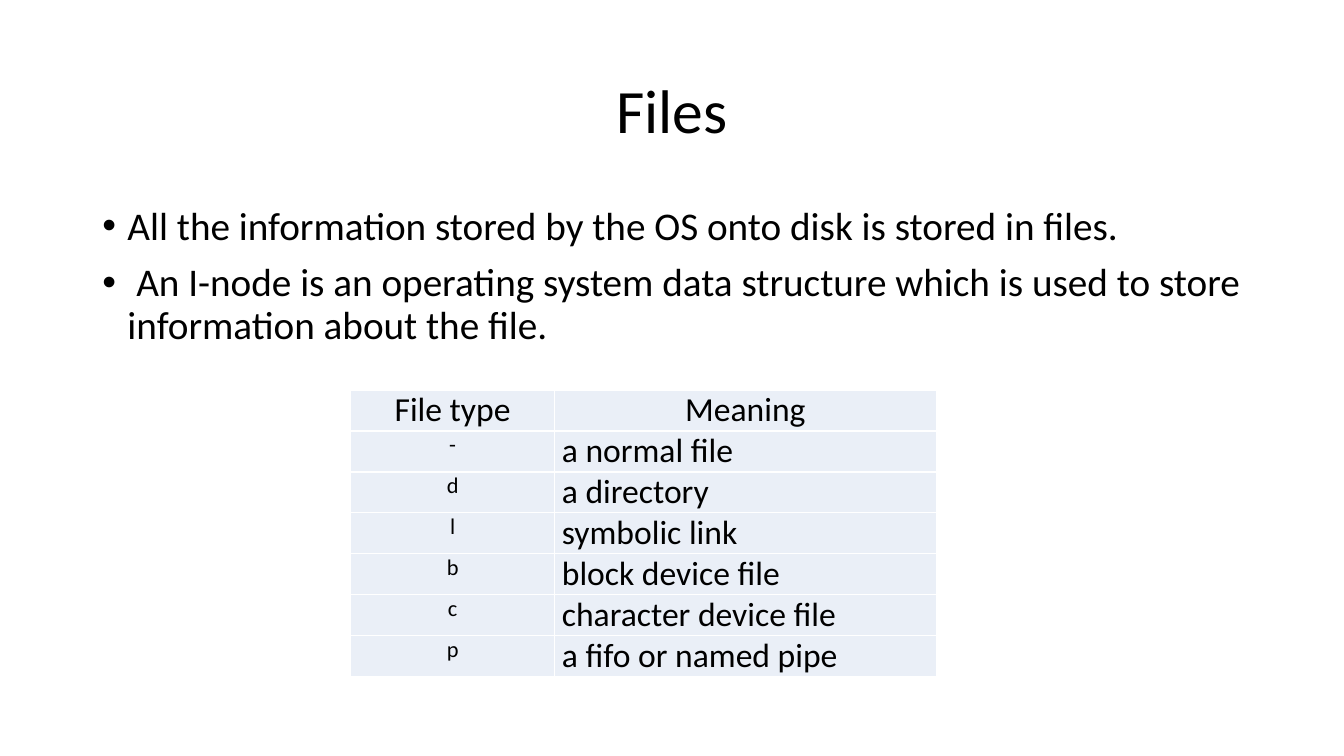
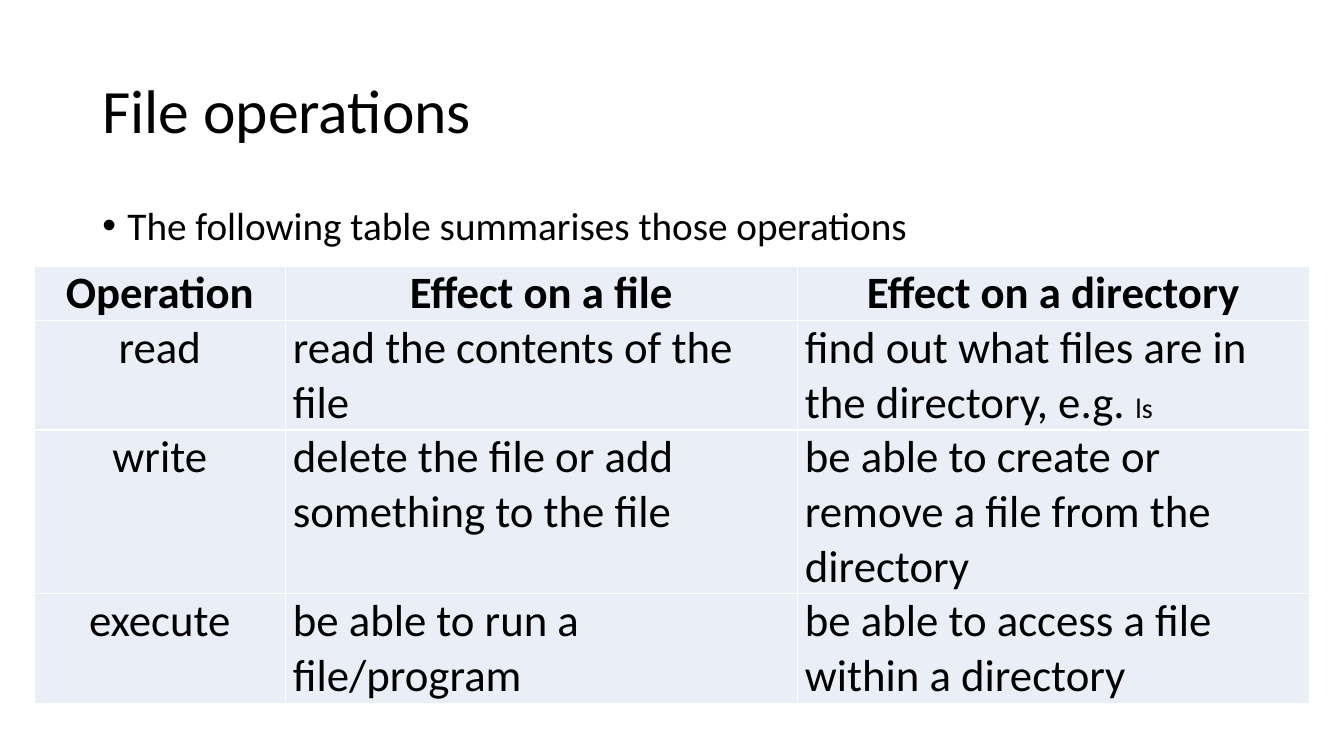
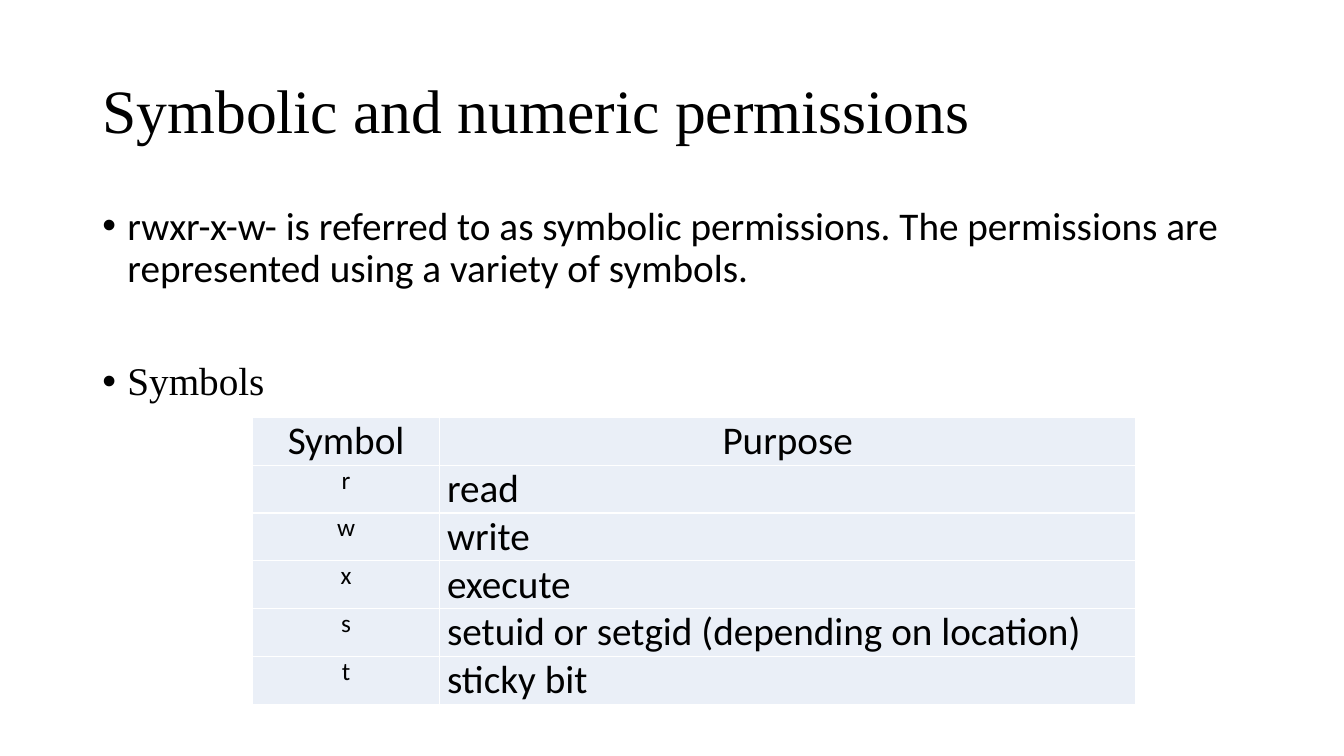
from dataclasses import dataclass

from lxml.etree import SubElement
from pptx import Presentation
from pptx.dml.color import RGBColor
from pptx.enum.text import MSO_ANCHOR, PP_ALIGN
from pptx.oxml.ns import qn
from pptx.slide import Slide
from pptx.table import _Cell
from pptx.text.text import TextFrame, _Paragraph
from pptx.util import Pt

SANS = "Calibri"
SERIF = "Times New Roman"
BLACK = "000000"
WHITE = "FFFFFF"
CELL_FILL = "EAEFF7"
TITLE_SIZE = 44
BODY_SIZE = 28
LINE_FACTOR = 1.22
TEXT_LEFT, TEXT_WIDTH = 66, 828
TITLE_TOP, TITLE_HEIGHT = 28.8, 104.4
BODY_TOP, BODY_HEIGHT = 144, 342.7
BULLET_INDENT = 18
CELL_MARGIN = 5.4


@dataclass(frozen=True)
class Span:
    text: str
    size: float
    font: str = SANS
    bold: bool = False


@dataclass(frozen=True)
class Bullet:
    text: str
    font: str = SANS
    space_before: float = 10


@dataclass(frozen=True)
class Grid:
    left: float
    top: float
    column_widths: tuple[float, ...]
    size: float
    key_size: float
    rows: tuple[tuple[str | tuple[Span, ...], ...], ...]
    line_counts: tuple[int, ...]
    bold_header: bool = False


@dataclass(frozen=True)
class Page:
    title: str
    bullets: tuple[Bullet, ...]
    grid: Grid
    title_font: str = SANS
    title_alignment: PP_ALIGN = PP_ALIGN.LEFT


PAGES = (
    Page(
        "Files",
        (
            Bullet("All the information stored by the OS onto disk is stored in files."),
            Bullet(" An I-node is an operating system data structure which is used to store information about the file."),
        ),
        Grid(
            250.6, 278.6, (145.4, 272.9), 24, 16,
            (
                ("File type", "Meaning"),
                ("-", "a normal file"),
                ("d", "a directory"),
                ("l", "symbolic link"),
                ("b", "block device file"),
                ("c", "character device file"),
                ("p", "a fifo or named pipe"),
            ),
            (1,) * 7,
        ),
        title_alignment=PP_ALIGN.CENTER,
    ),
    Page(
        "File operations",
        (Bullet("The following table summarises those operations"),),
        Grid(
            24.6, 190, (179.2, 365.8, 365.8), 32, 32,
            (
                ("Operation", "Effect on a file", "Effect on a directory"),
                (
                    "read",
                    "read the contents of the file",
                    (Span("find out what files are in the directory, e.g. ", 32), Span("ls", 20)),
                ),
                (
                    "write",
                    "delete the file or add something to the file",
                    "be able to create or remove a file from the directory",
                ),
                (
                    "execute",
                    "be able to run a file/program",
                    "be able to access a file within a directory",
                ),
            ),
            (1, 2, 3, 2),
            bold_header=True,
        ),
    ),
    Page(
        "Symbolic and numeric permissions",
        (
            Bullet("rwxr-x-w- is referred to as symbolic permissions. The permissions are represented using a variety of symbols."),
            Bullet("Symbols", SERIF, 50.5),
        ),
        Grid(
            180.4, 298.1, (133.6, 497.4), 28, 18,
            (
                ("Symbol", "Purpose"),
                ("r", "read"),
                ("w", "write"),
                ("x", "execute"),
                ("s", "setuid or setgid (depending on location)"),
                ("t", "sticky bit"),
            ),
            (1,) * 6,
        ),
        title_font=SERIF,
    ),
)


def color(value: str) -> RGBColor:
    return RGBColor.from_string(value)


def add_span(paragraph: _Paragraph, span: Span) -> None:
    run = paragraph.add_run()
    run.text = span.text
    run.font.size = Pt(span.size)
    run.font.name = span.font
    run.font.bold = span.bold
    run.font.color.rgb = color(BLACK)


def add_text_frame(slide: Slide, top: float, height: float) -> TextFrame:
    shape = slide.shapes.add_textbox(Pt(TEXT_LEFT), Pt(top), Pt(TEXT_WIDTH), Pt(height))
    shape.text_frame.word_wrap = True
    return shape.text_frame


def add_title(slide: Slide, page: Page) -> None:
    frame = add_text_frame(slide, TITLE_TOP, TITLE_HEIGHT)
    frame.vertical_anchor = MSO_ANCHOR.MIDDLE
    paragraph = frame.paragraphs[0]
    paragraph.alignment = page.title_alignment
    paragraph.line_spacing = 0.9
    add_span(paragraph, Span(page.title, TITLE_SIZE, page.title_font))


def add_bullets(slide: Slide, bullets: tuple[Bullet, ...]) -> None:
    frame = add_text_frame(slide, BODY_TOP, BODY_HEIGHT)
    for index, bullet in enumerate(bullets):
        paragraph = frame.add_paragraph() if index else frame.paragraphs[0]
        paragraph.line_spacing = 0.9
        paragraph.space_before = Pt(bullet.space_before)
        properties = paragraph._p.get_or_add_pPr()
        properties.set("marL", str(Pt(BULLET_INDENT)))
        properties.set("indent", str(-Pt(BULLET_INDENT)))
        SubElement(properties, qn("a:buFont"), typeface="Arial")
        SubElement(properties, qn("a:buChar"), char="•")
        add_span(paragraph, Span(bullet.text, BODY_SIZE, bullet.font))


def style_cell(cell: _Cell) -> None:
    cell.margin_left = cell.margin_right = Pt(CELL_MARGIN)
    cell.margin_top = cell.margin_bottom = 0
    properties = cell._tc.get_or_add_tcPr()
    for side in ("lnL", "lnR", "lnT", "lnB"):
        line = SubElement(properties, qn(f"a:{side}"), w=str(Pt(1)))
        fill = SubElement(line, qn("a:solidFill"))
        SubElement(fill, qn("a:srgbClr"), val=WHITE)
    cell.fill.solid()
    cell.fill.fore_color.rgb = color(CELL_FILL)


def add_grid(slide: Slide, grid: Grid) -> None:
    heights = [count * grid.size * LINE_FACTOR for count in grid.line_counts]
    table = slide.shapes.add_table(
        len(grid.rows), len(grid.column_widths), Pt(grid.left), Pt(grid.top),
        Pt(sum(grid.column_widths)), Pt(sum(heights)),
    ).table
    table.first_row = False
    table.horz_banding = False
    for column, width in zip(table.columns, grid.column_widths):
        column.width = Pt(width)
    for row_index, (values, height) in enumerate(zip(grid.rows, heights)):
        table.rows[row_index].height = Pt(height)
        is_header = row_index == 0
        for column_index, value in enumerate(values):
            is_key = column_index == 0
            cell = table.cell(row_index, column_index)
            style_cell(cell)
            paragraph = cell.text_frame.paragraphs[0]
            paragraph.alignment = PP_ALIGN.CENTER if is_header or is_key else PP_ALIGN.LEFT
            size = grid.key_size if is_key and not is_header else grid.size
            bold = is_header and grid.bold_header
            spans = (Span(value, size, bold=bold),) if isinstance(value, str) else value
            for span in spans:
                add_span(paragraph, span)


def main() -> None:
    presentation = Presentation()
    presentation.slide_width = Pt(960)
    presentation.slide_height = Pt(540)
    for page in PAGES:
        slide = presentation.slides.add_slide(presentation.slide_layouts[6])
        add_title(slide, page)
        add_bullets(slide, page.bullets)
        add_grid(slide, page.grid)
    presentation.save("out.pptx")


if __name__ == "__main__":
    main()
